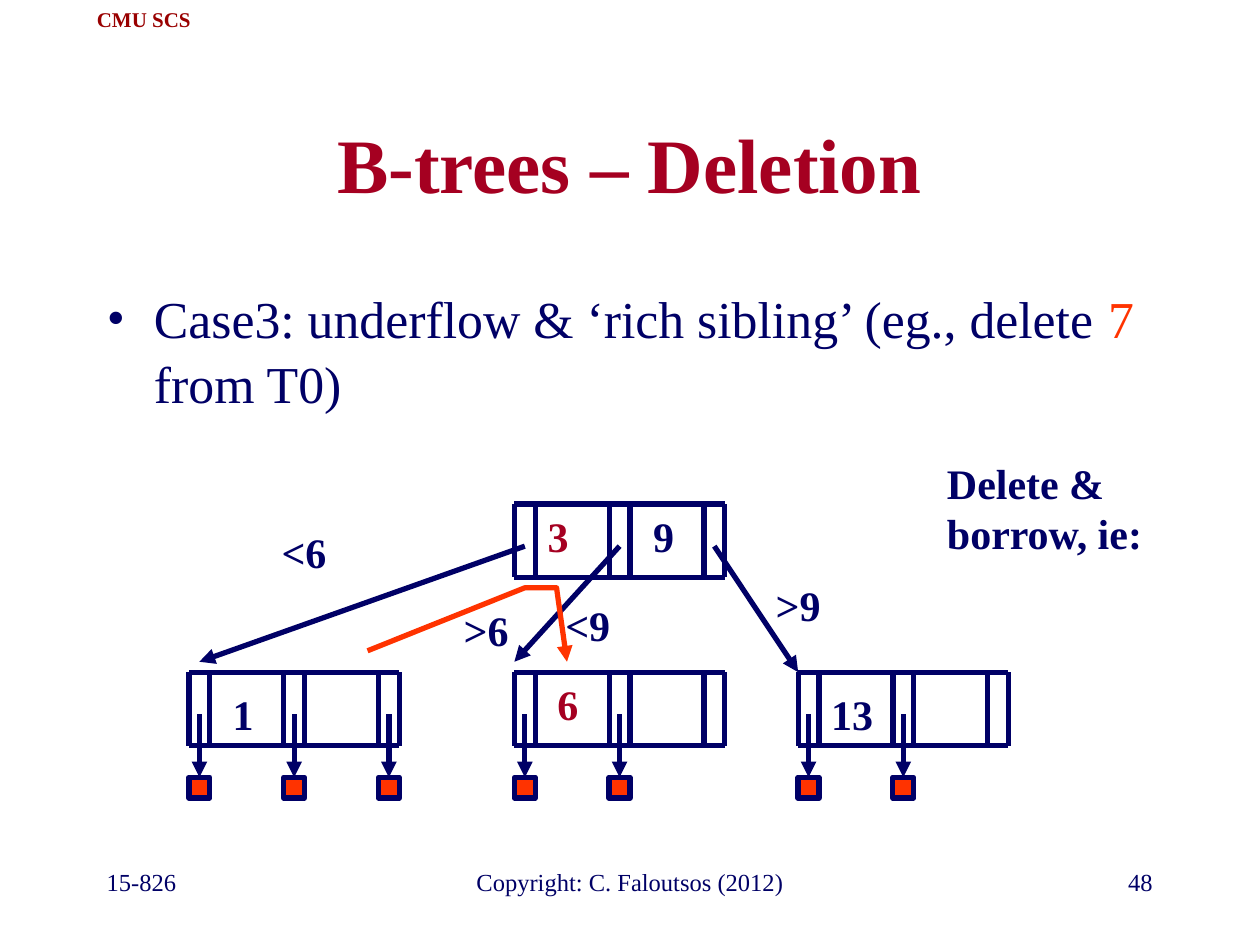
from lxml import etree
from pptx import Presentation
from pptx.dml.color import RGBColor
from pptx.enum.shapes import MSO_CONNECTOR as CONN, MSO_SHAPE as SHAPE
from pptx.enum.text import MSO_ANCHOR as ANCHOR, MSO_AUTO_SIZE as AUTOSIZE, PP_ALIGN as ALIGN
from pptx.oxml.ns import qn
from pptx.util import Cm, Pt

COLORS = {"navy": "000066", "crimson": "A50021", "orange": "FF3300", "maroon": "990000"}

# Node geometry in cm: three pointer slots with two key fields between them
SLOT, PITCH, NODE_H = 0.42, 1.91, 1.48
NODE_W = 2 * PITCH + SLOT
ROOT_X, ROOT_Y, LEAF_Y = 10.37, 10.16, 13.55
BUCKET_Y = 15.67


class SlideBuilder:
    font_name = "Times New Roman"
    line_width = Pt(3)

    def __init__(self, slide):
        self.s = slide

    def color(self, name):
        return RGBColor.from_string(COLORS[name])

    def runs(self, p, parts, size, bold=False):
        """Fill a paragraph from (text, colour) pairs."""
        fmt = {"name": self.font_name, "size": Pt(size), "bold": bold}
        for text, color in parts:
            r = p.add_run()
            r.text = text
            for key, value in fmt.items():
                setattr(r.font, key, value)
            r.font.color.rgb = self.color(color)

    def frame(self, sp, anchor):
        tf = sp.text_frame
        for key, value in {"word_wrap": True, "auto_size": AUTOSIZE.NONE,
                           "vertical_anchor": anchor}.items():
            setattr(tf, key, value)
        return tf.paragraphs[0]

    def placeholder(self, sp, box, anchor):
        sp.left, sp.top, sp.width, sp.height = map(Cm, box)
        p = self.frame(sp, anchor)
        p.space_before = Pt(0)
        return p

    def title(self, text, box):
        p = self.placeholder(self.s.shapes.title, box, ANCHOR.MIDDLE)
        p.alignment = ALIGN.CENTER
        self.runs(p, [(text, "crimson")], 44, True)

    def bullet(self, parts, box):
        p = self.placeholder(self.s.placeholders[1], box, ANCHOR.TOP)
        pPr = p._p.get_or_add_pPr()
        pPr.set("marL", str(Cm(0.95)))
        pPr.set("indent", str(-Cm(0.95)))
        clr = etree.SubElement(pPr, qn("a:buClr"))
        etree.SubElement(clr, qn("a:srgbClr"), val=COLORS["navy"])
        etree.SubElement(pPr, qn("a:buFont"), typeface=self.font_name)
        etree.SubElement(pPr, qn("a:buChar"), char="•")
        p.line_spacing = 1.04
        self.runs(p, parts, 29.6)

    def text(self, text, box, size=24, color="navy", bold=True,
             align=ALIGN.CENTER, anchor=ANCHOR.TOP):
        sp = self.s.shapes.add_textbox(*map(Cm, box))
        p = self.frame(sp, anchor)
        p.alignment = align
        self.runs(p, [(text, color)], size, bold)

    def stroke(self, sp, color, arrow):
        sp.line.color.rgb = self.color(color)
        sp.line.width = self.line_width
        if arrow:
            etree.SubElement(sp.line._get_or_add_ln(), qn("a:tailEnd"), type="triangle")

    def line(self, x1, y1, x2, y2, arrow=False):
        c = self.s.shapes.add_connector(CONN.STRAIGHT, *map(Cm, (x1, y1, x2, y2)))
        self.stroke(c, "navy", arrow)
        etree.SubElement(c._element.spPr, qn("a:effectLst"))

    def bent_arrow(self, points, color):
        start, *rest = [(Cm(x), Cm(y)) for x, y in points]
        fb = self.s.shapes.build_freeform(*start)
        fb.add_line_segments(rest, close=False)
        sp = fb.convert_to_shape()
        sp.fill.background()
        self.stroke(sp, color, True)
        sp.shadow.inherit = False

    def bucket(self, x, y):
        sp = self.s.shapes.add_shape(SHAPE.RECTANGLE, *map(Cm, (x, y, SLOT, SLOT)))
        sp.fill.solid()
        sp.fill.fore_color.rgb = self.color("orange")
        self.stroke(sp, "navy", False)
        sp.shadow.inherit = False

    def node(self, x, y, buckets=0):
        for i in range(3):
            for edge in (x + i * PITCH, x + i * PITCH + SLOT):
                self.line(edge, y, edge, y + NODE_H)
        for edge in (y, y + NODE_H):
            self.line(x, edge, x + NODE_W, edge)
        for i in range(buckets):
            slot_x = x + i * PITCH
            center = slot_x + SLOT / 2
            self.line(center, y + 0.85, center, BUCKET_Y, arrow=True)
            self.bucket(slot_x, BUCKET_Y)


def main():
    prs = Presentation()
    prs.slide_width, prs.slide_height = Cm(25.4), Cm(19.05)
    b = SlideBuilder(prs.slides.add_slide(prs.slide_layouts[1]))

    # Header and footer
    b.text("CMU SCS", (1.5, 0, 2.8, 0.76), 12, "maroon", anchor=ANCHOR.MIDDLE)
    for text, x, w, align in [("15-826", 1.9, 5.29, ALIGN.LEFT),
                              ("Copyright: C. Faloutsos (2012)", 8.68, 8.04, ALIGN.CENTER),
                              ("48", 18.2, 5.29, ALIGN.RIGHT)]:
        b.text(text, (x, 17.36, w, 1.27), 14, bold=False, align=align)

    # Title and bullet
    b.title("B-trees – Deletion", (1.9, 1.69, 21.59, 3.18))
    b.bullet([("Case3: underflow & ‘rich sibling’ (eg., delete ", "navy"),
              ("7", "orange"), (" from T0)", "navy")], (1.9, 5.6, 21.8, 2.97))

    # Root, leaves and their buckets
    b.node(ROOT_X, ROOT_Y)
    for x, buckets in [(16.09, 2), (ROOT_X, 2), (3.81, 3)]:
        b.node(x, LEAF_Y, buckets)

    # Pointers from the root slots to the leaves
    for i, target in enumerate([(4.02, 13.34), (ROOT_X, 13.34), (16.09, LEAF_Y)]):
        b.line(ROOT_X + i * PITCH + SLOT / 2, ROOT_Y + 0.85, *target, arrow=True)

    # Borrowing route through the parent
    b.bent_arrow([(7.41, 13.12), (10.58, 11.85), (11.22, 11.85), (11.43, 13.34)], "orange")

    # Keys and range labels: text, centre, top, colour
    label_w = 1.6
    for text, center, top, color in [
            ("1", 4.9, 13.76, "navy"), ("3", 11.25, 10.16, "crimson"),
            ("9", 13.38, 10.16, "navy"), ("13", 17.18, 13.76, "navy"),
            ("<6", 6.13, 10.49, "navy"), (">6", 9.8, 12.06, "navy"),
            ("<9", 11.85, 11.96, "navy"), (">9", 16.09, 11.56, "navy"),
            ("6", 11.45, 13.55, "crimson")]:
        b.text(text, (center - label_w / 2, top, label_w, 1.27), color=color)

    # Side note
    b.text("Delete & borrow, ie:", (18.84, 9.1, 5.93, 2.29), align=ALIGN.LEFT)

    prs.save("out.pptx")


if __name__ == "__main__":
    main()
